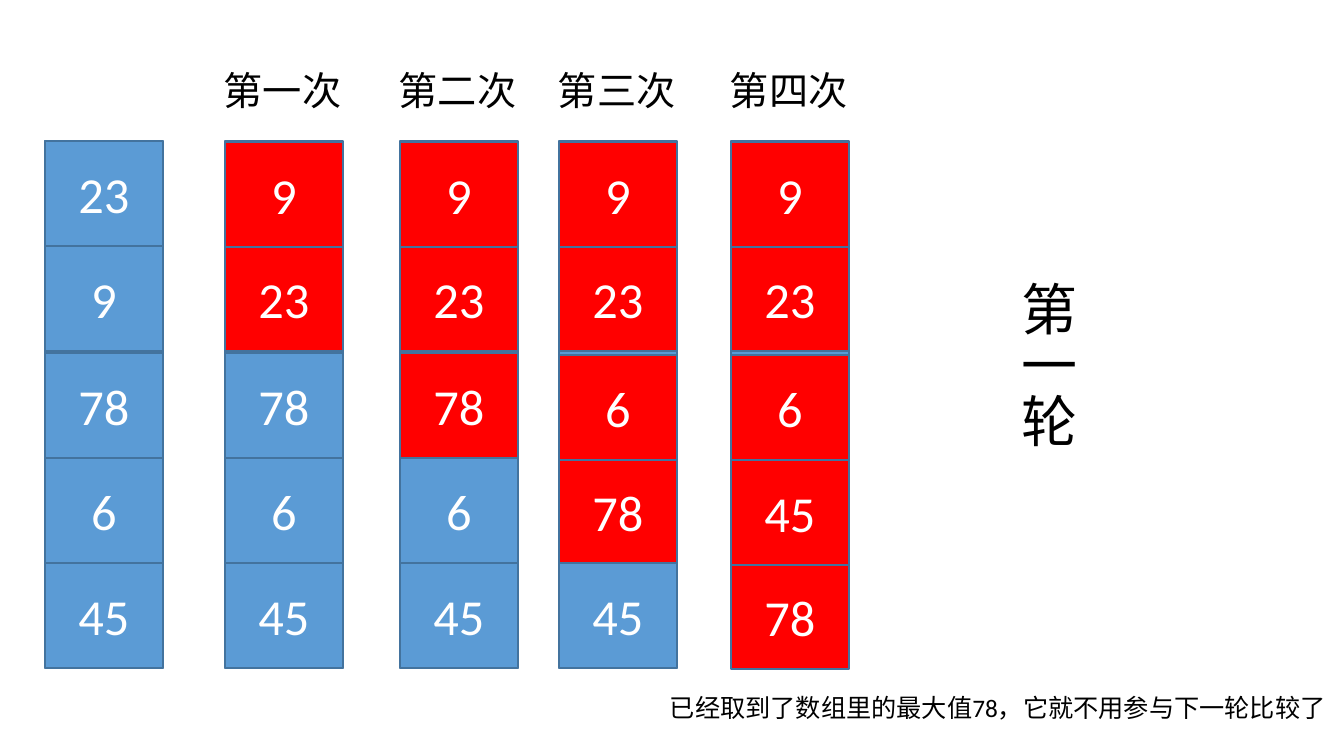
from pptx import Presentation
from pptx.dml.color import RGBColor
from pptx.enum.shapes import MSO_SHAPE
from pptx.enum.text import MSO_ANCHOR, MSO_AUTO_SIZE, PP_ALIGN
from pptx.util import Emu, Pt

RECT = MSO_SHAPE.RECTANGLE
MIDDLE = MSO_ANCHOR.MIDDLE
CENTER = PP_ALIGN.CENTER
GROW = MSO_AUTO_SIZE.SHAPE_TO_FIT_TEXT

BLUE = RGBColor(0x5B, 0x9B, 0xD5)
EDGE = RGBColor(0x43, 0x73, 0x9E)
RED = RGBColor(0xFF, 0x00, 0x00)
WHITE = RGBColor(0xFF, 0xFF, 0xFF)
BLACK = RGBColor(0x00, 0x00, 0x00)

FONT = "Calibri"
SCALE = 914400 / 100.8  # EMU per pixel
TOP, WIDE, TALL, CELL = 141, 118, 527, 105
ROWS = (141, 246, 353, 458, 563)

# left, title, values, count of red cells, downward nudge of each row
STEPS = (
    (45, "", (23, 9, 78, 6, 45), 0, (0, 0, 0, 0, 0)),
    (225, "第一次", (9, 23, 78, 6, 45), 2, (1, 0, 0, 0, 0)),
    (400, "第二次", (9, 23, 78, 6, 45), 3, (1, 0, 0, 0, 0)),
    (559, "第三次", (9, 23, 6, 78, 45), 4, (1, 0, 2, 1, 0)),
    (731, "第四次", (9, 23, 6, 45, 78), 5, (1, 0, 2, 2, 1)),
)


def px(*sizes):
    """Turn pixels into EMU."""
    return [Emu(round(size * SCALE)) for size in sizes]


class Board:
    """Holds the style and the current slide."""

    def __init__(self, slide):
        self.shapes = slide.shapes

    def style(self, frame, text, size, color):
        """Write one styled paragraph and return it."""
        para = frame.paragraphs[0]
        para.text = text
        para.font.name = FONT
        para.font.size = Pt(size)
        para.font.color.rgb = color
        return para

    def box(self, left, top, high, fill, text=""):
        """Draw an outlined block, with a centred value if given."""
        shape = self.shapes.add_shape(RECT, *px(left, top, WIDE, high))
        shape.shadow.inherit = False
        shape.fill.solid()
        shape.fill.fore_color.rgb = fill
        shape.line.color.rgb = EDGE
        shape.line.width = Pt(1)
        if text:
            frame = shape.text_frame
            frame.vertical_anchor = MIDDLE
            self.style(frame, text, 36, WHITE).alignment = CENTER

    def label(self, left, top, wide, high, text, size, wrap=True):
        """Add a black text box and return its frame."""
        frame = self.shapes.add_textbox(*px(left, top, wide, high)).text_frame
        frame.word_wrap = wrap
        frame.auto_size = GROW
        self.style(frame, text, size, BLACK)
        return frame

    def step(self, left, title, values, reds, nudge):
        """Draw one column of the sort, red cells first from the bottom."""
        self.box(left, TOP, TALL, BLUE)
        for row in (*reversed(range(reds)), *range(reds, len(values))):
            fill = RED if row < reds else BLUE
            self.box(left, ROWS[row] + nudge[row], CELL, fill, str(values[row]))
        if title:
            self.label(left - 11, 61, 140, 57, title, 28)


def main():
    """Build and save the slide."""
    deck = Presentation()
    deck.slide_width, deck.slide_height = px(1344, 756)
    board = Board(deck.slides.add_slide(deck.slide_layouts[6]))
    for step in STEPS:
        board.step(*step)
    turn = board.label(997, 271, 89, 527, "第一轮", 40)
    turn._txBody.bodyPr.set("vert", "eaVert")
    board.label(660, 687, 682, 40,
                "已经取到了数组里的最大值78，它就不用参与下一轮比较了", 18, wrap=False)
    deck.save("out.pptx")


main()
